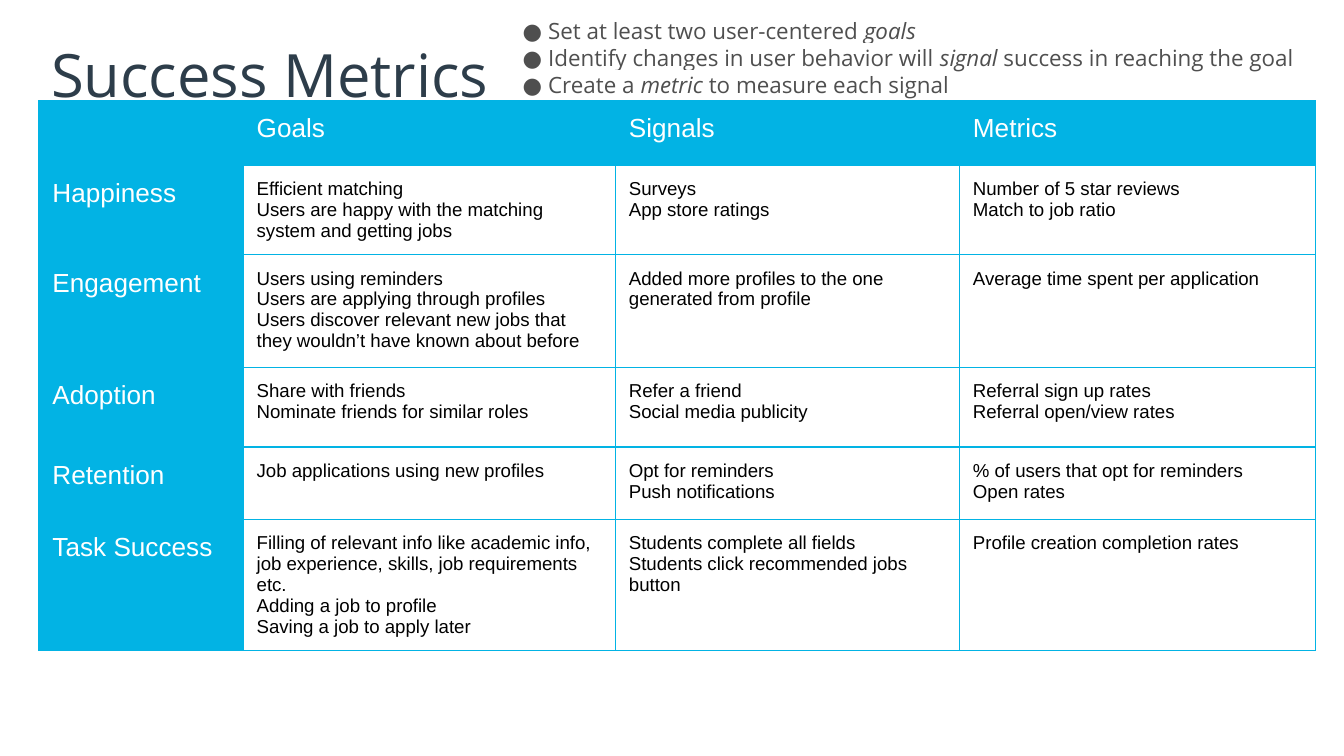
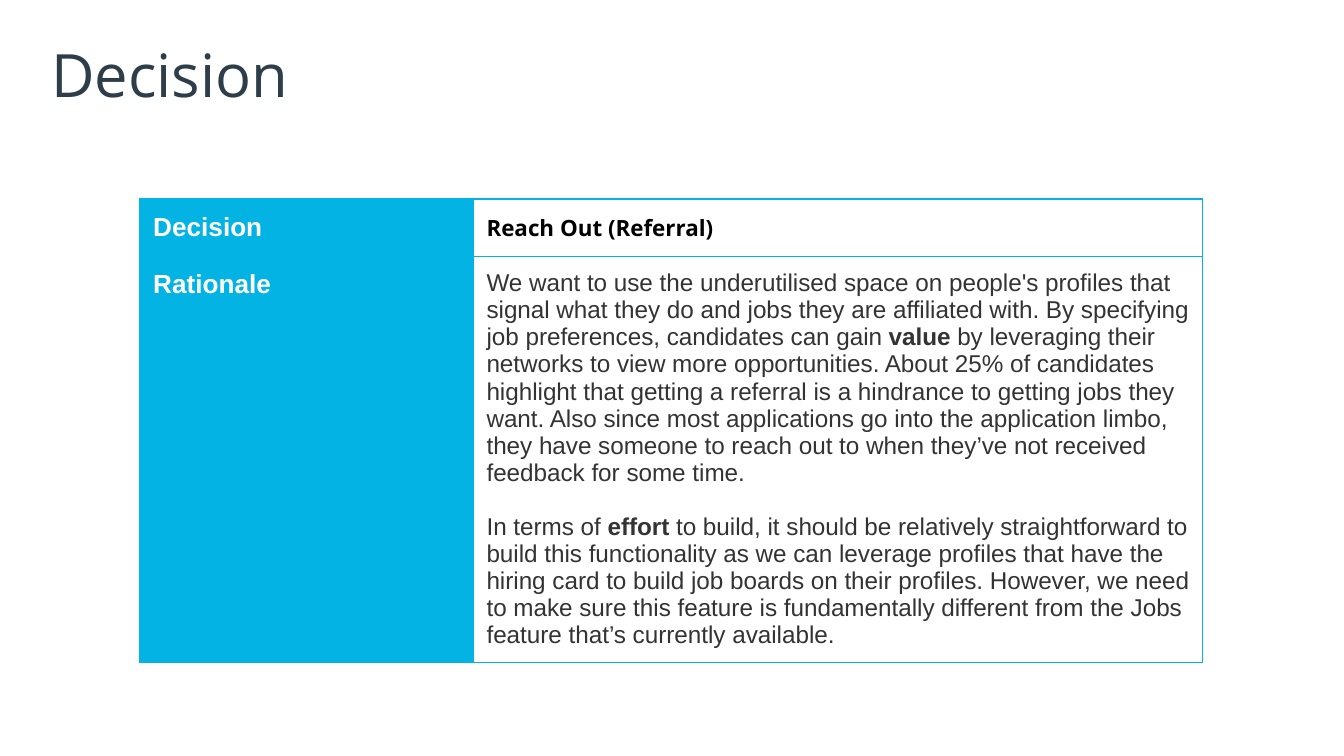
from dataclasses import dataclass

import pptx
import pptx.dml.color
import pptx.enum.text
import pptx.oxml
import pptx.oxml.ns
import pptx.util
from pptx.util import Inches


@dataclass(frozen=True)
class Theme:
    accent: str = "02B3E4"
    title: str = "2D3D4A"
    hint: str = "4F4F4F"
    prose: str = "333333"
    black: str = "000000"
    white: str = "FFFFFF"
    heading_font: str = "Open Sans"
    table_font: str = "Arial"
    title_size: int = 32
    label_size: int = 14
    prose_size: int = 13
    hint_size: int = 12
    cell_size: int = 10
    empty_cell_size: int = 18
    border_width: float = 0.75
    padding: float = 0.1
    title_padding: float = 0.04


THEME = Theme()


@dataclass(frozen=True)
class TextStyle:
    size: int
    color: str
    font: str = THEME.table_font
    bold: bool = False
    emphasis: str = "bold"
    highlight: bool = False
    space_between: float = 0


TITLE = TextStyle(THEME.title_size, THEME.title, THEME.heading_font)
HINT = TextStyle(THEME.hint_size, THEME.hint, THEME.heading_font,
                 emphasis="italic", highlight=True)
LABEL = TextStyle(THEME.label_size, THEME.white)
BOLD_LABEL = TextStyle(THEME.label_size, THEME.white, bold=True)
CELL = TextStyle(THEME.cell_size, THEME.black)
CHOICE = TextStyle(THEME.hint_size, THEME.black, THEME.heading_font, bold=True)
PROSE = TextStyle(THEME.prose_size, THEME.prose, highlight=True, space_between=14.5)

METRICS = [
    ["", "Goals", "Signals", "Metrics"],
    ["Happiness",
     "Efficient matching\nUsers are happy with the matching system and getting jobs",
     "Surveys\nApp store ratings",
     "Number of 5 star reviews\nMatch to job ratio"],
    ["Engagement",
     "Users using reminders\nUsers are applying through profiles\n"
     "Users discover relevant new jobs that they wouldn’t have known about before",
     "Added more profiles to the one generated from profile",
     "Average time spent per application"],
    ["Adoption",
     "Share with friends\nNominate friends for similar roles",
     "Refer a friend\nSocial media publicity",
     "Referral sign up rates\nReferral open/view rates"],
    ["Retention",
     "Job applications using new profiles",
     "Opt for reminders\nPush notifications",
     "% of users that opt for reminders\nOpen rates"],
    ["Task Success",
     "Filling of relevant info like academic info, job experience, skills, "
     "job requirements etc.\nAdding a job to profile\nSaving a job to apply later",
     "Students complete all fields\nStudents click recommended jobs button",
     "Profile creation completion rates"],
]

HINTS = (
    "Set at least two user-centered *goals*\n"
    "Identify changes in user behavior will *signal* success in reaching the goal\n"
    "Create a *metric* to measure each signal"
)

RATIONALE = (
    "We want to use the underutilised space on people's profiles that signal what "
    "they do and jobs they are affiliated with. By specifying job preferences, "
    "candidates can gain *value *by leveraging their networks to view more "
    "opportunities. About 25% of candidates highlight that getting a referral is a "
    "hindrance to getting jobs they want. Also since most applications go into the "
    "application limbo, they have someone to reach out to when they’ve not received "
    "feedback for some time.\n"
    "In terms of *effort *to build, it should be relatively straightforward to build "
    "this functionality as we can leverage profiles that have the hiring card to "
    "build job boards on their profiles. However, we need to make sure this feature "
    "is fundamentally different from the Jobs feature that’s currently available."
)


def rgb(color):
    return pptx.dml.color.RGBColor.from_string(color)


def xml(tag, content="", attributes=""):
    namespace = pptx.oxml.ns.nsdecls("a")
    return pptx.oxml.parse_xml(f"<a:{tag} {namespace} {attributes}>{content}</a:{tag}>")


def set_margins(holder, inches):
    for side in ("left", "right", "top", "bottom"):
        setattr(holder, f"margin_{side}", Inches(inches))


def add_run(paragraph, text, style, emphasized):
    run = paragraph.add_run()
    run.text = text
    font = run.font
    font.size = pptx.util.Pt(style.size)
    font.bold = style.bold
    if emphasized:
        setattr(font, style.emphasis, True)
    font.color.rgb = rgb(style.color)
    if style.highlight:
        run._r.get_or_add_rPr().append(
            xml("highlight", f'<a:srgbClr val="{THEME.white}"/>'))
    font.name = style.font


def write(text_frame, text, style):
    """Put each line in a paragraph; words between asterisks are emphasized."""
    for number, line in enumerate(text.split("\n")):
        paragraph = text_frame.add_paragraph() if number else text_frame.paragraphs[0]
        paragraph.alignment = pptx.enum.text.PP_ALIGN.LEFT
        if number and style.space_between:
            paragraph.space_before = pptx.util.Pt(style.space_between)
        for part, words in enumerate(line.split("*")):
            if words:
                add_run(paragraph, words, style, emphasized=part % 2 == 1)


def size_empty_cell(cell):
    """Give a cell without text the font that sets its least height."""
    cell.text_frame.paragraphs[0]._p.append(
        xml("endParaRPr", f'<a:latin typeface="{THEME.table_font}"/>',
            f'sz="{THEME.empty_cell_size * 100}"'))


def add_titled_slide(presentation, text, width):
    slide = presentation.slides.add_slide(presentation.slide_layouts[5])
    title = slide.shapes.title
    title.left, title.top = Inches(0.34), Inches(0.24)
    title.width, title.height = Inches(width), Inches(0.63)
    text_frame = title.text_frame
    text_frame.auto_size = pptx.enum.text.MSO_AUTO_SIZE.NONE
    text_frame.vertical_anchor = pptx.enum.text.MSO_ANCHOR.TOP
    set_margins(text_frame, THEME.title_padding)
    write(text_frame, text, TITLE)
    return slide


def add_bullets(slide, text, left, top, width, height):
    box = slide.shapes.add_textbox(*map(Inches, (left, top, width, height)))
    text_frame = box.text_frame
    text_frame.word_wrap = True
    set_margins(text_frame, THEME.padding)
    write(text_frame, text, HINT)
    indent = Inches(0.19)
    for paragraph in text_frame.paragraphs:
        properties = paragraph._p.get_or_add_pPr()
        properties.set("marL", str(indent))
        properties.set("indent", str(-indent))
        properties.append(xml("buClr", f'<a:srgbClr val="{THEME.hint}"/>'))
        properties.append(xml("buFont", attributes=f'typeface="{THEME.heading_font}"'))
        properties.append(xml("buChar", attributes='char="●"'))


def set_borders(cell):
    properties = cell._tc.get_or_add_tcPr()
    width = pptx.util.Pt(THEME.border_width)
    fill = f'<a:solidFill><a:srgbClr val="{THEME.accent}"/></a:solidFill>'
    for position, side in enumerate("LRTB"):
        properties.insert(position, xml(f"ln{side}", fill, f'w="{width}"'))


def add_table(slide, rows, style_at, left, top, widths, heights):
    shape = slide.shapes.add_table(
        len(heights), len(widths), Inches(left), Inches(top),
        Inches(sum(widths)), Inches(sum(heights)))
    table = shape.table
    table.first_row = table.horz_banding = False
    for column, width in zip(table.columns, widths):
        column.width = Inches(width)
    for row, height in zip(table.rows, heights):
        row.height = Inches(height)
    for row, texts in enumerate(rows):
        for column, text in enumerate(texts):
            cell = table.cell(row, column)
            style = style_at(row, column)
            set_margins(cell, THEME.padding)
            write(cell.text_frame, text, style)
            if not text:
                size_empty_cell(cell)
            if style in (LABEL, BOLD_LABEL):
                cell.fill.solid()
                cell.fill.fore_color.rgb = rgb(THEME.accent)
            else:
                cell.fill.background()
            set_borders(cell)


def metrics_style(row, column):
    return LABEL if row == 0 or column == 0 else CELL


def decision_style(row, column):
    return BOLD_LABEL if column == 0 else (CHOICE, PROSE)[row]


def main():
    presentation = pptx.Presentation()
    presentation.slide_width = Inches(10)
    presentation.slide_height = presentation.slide_width * 9 // 16

    slide = add_titled_slide(presentation, "Success Metrics", 3.35)
    add_table(slide, METRICS, metrics_style, 0.29, 0.75,
              [1.52, 2.77, 2.56, 2.65], [0.4, 0.61, 0.84, 0.59, 0.54, 0.84])
    add_bullets(slide, HINTS, 3.79, 0.03, 6.17, 0.73)

    slide = add_titled_slide(presentation, "Decision", 9.32)
    decision = [["Decision", "Reach Out (Referral)"], ["Rationale", RATIONALE]]
    add_table(slide, decision, decision_style, 1.04, 1.48, [2.48, 5.43], [0.42, 0.42])

    presentation.save("out.pptx")


if __name__ == "__main__":
    main()
